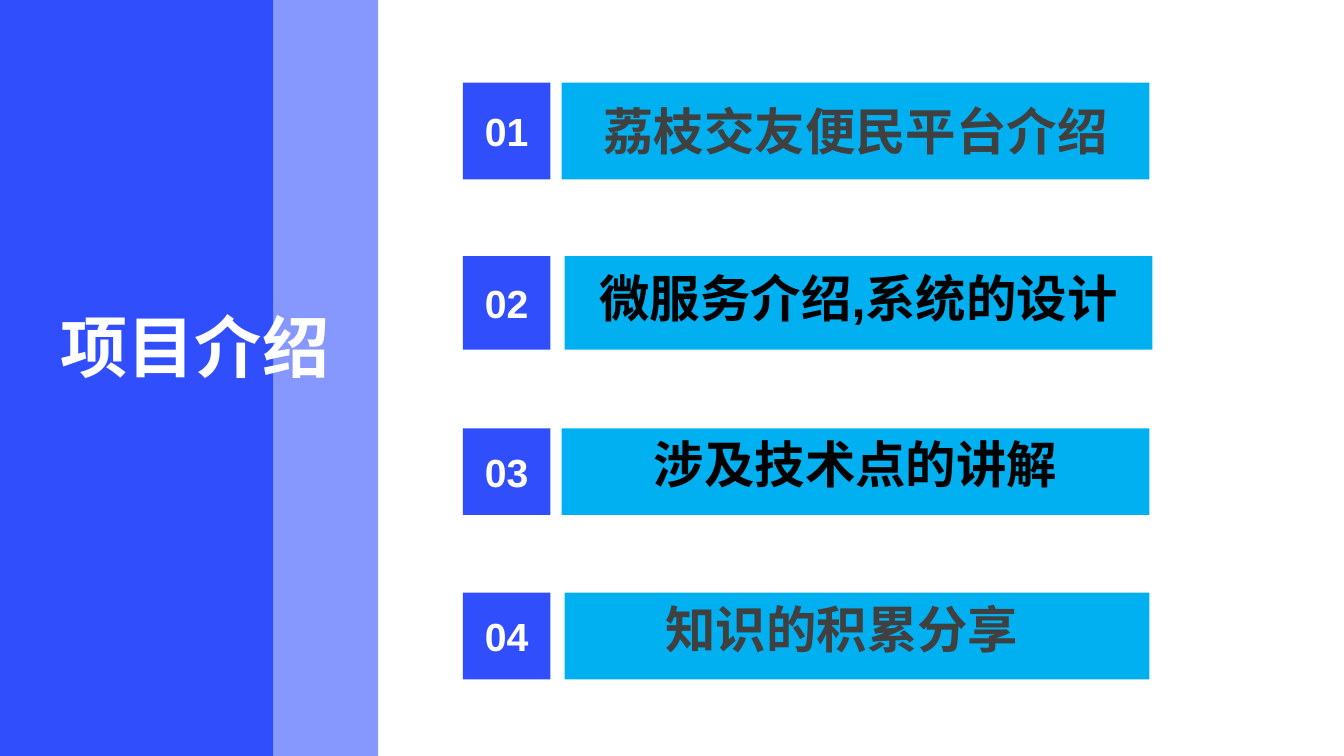
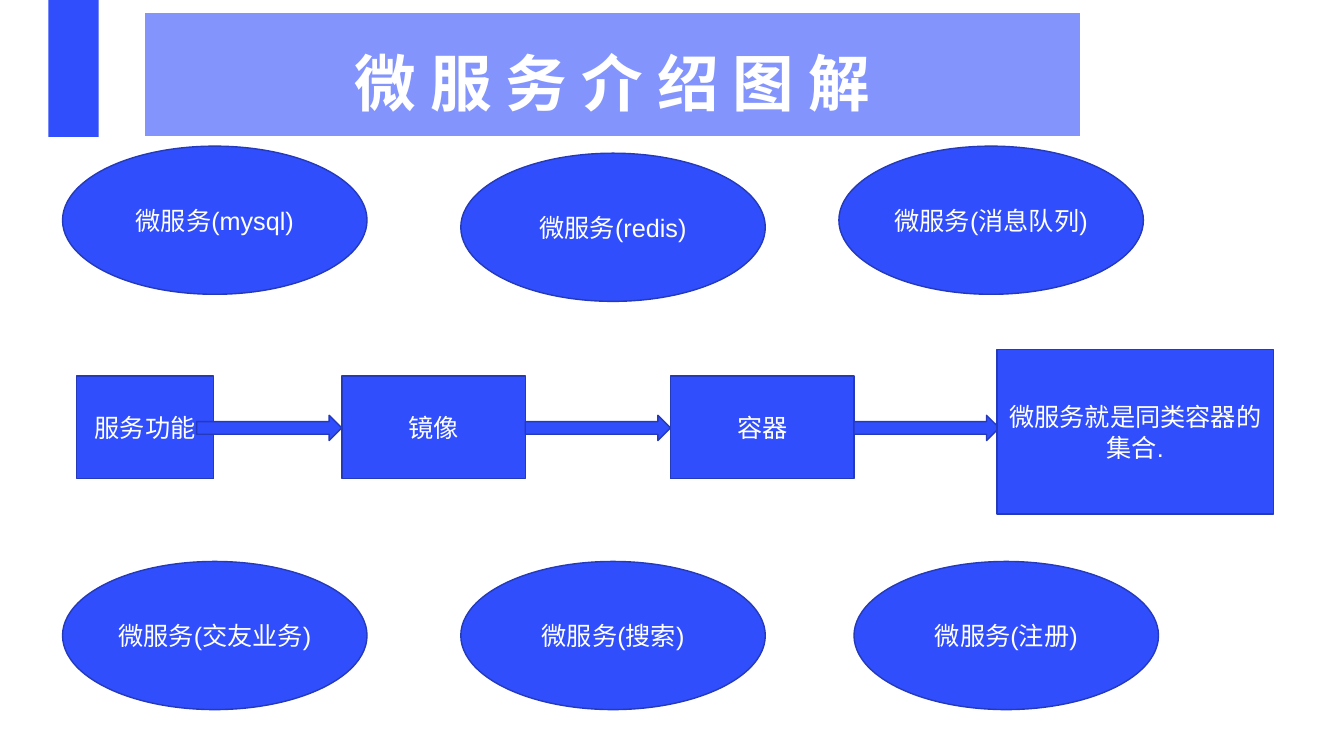
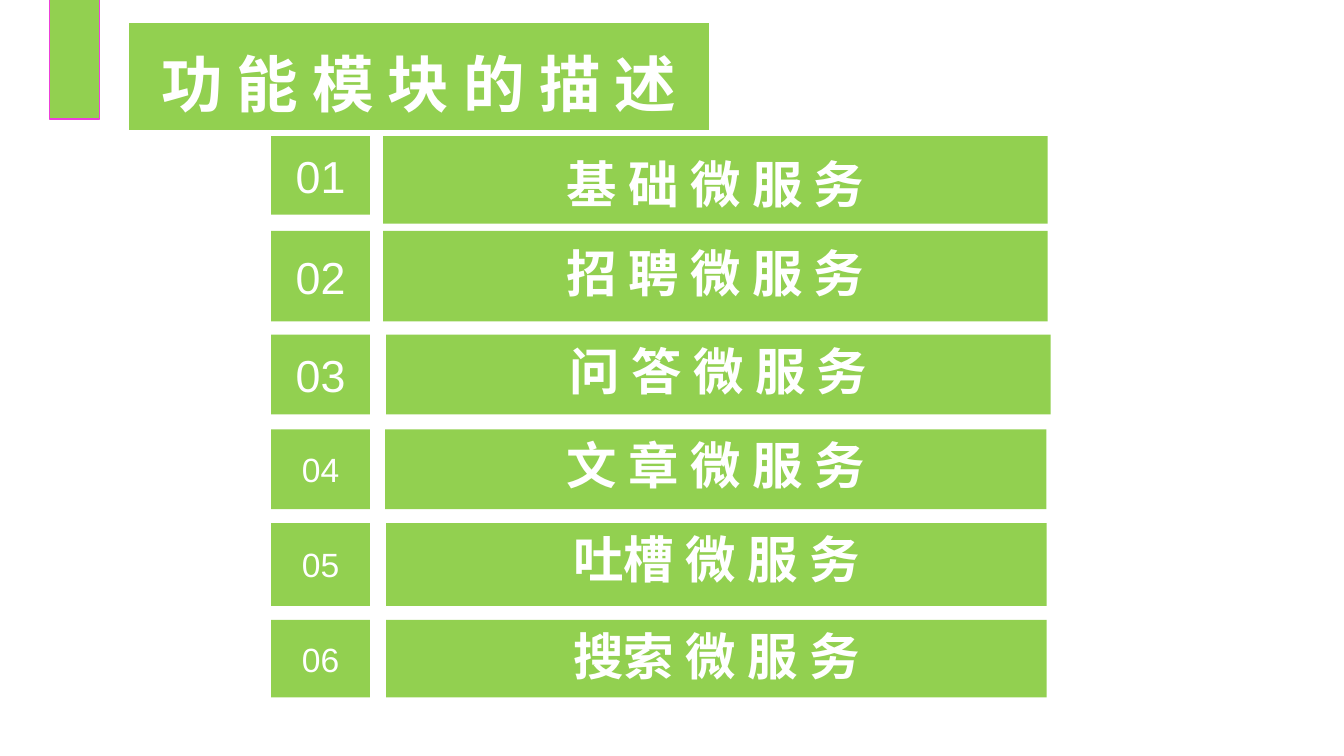
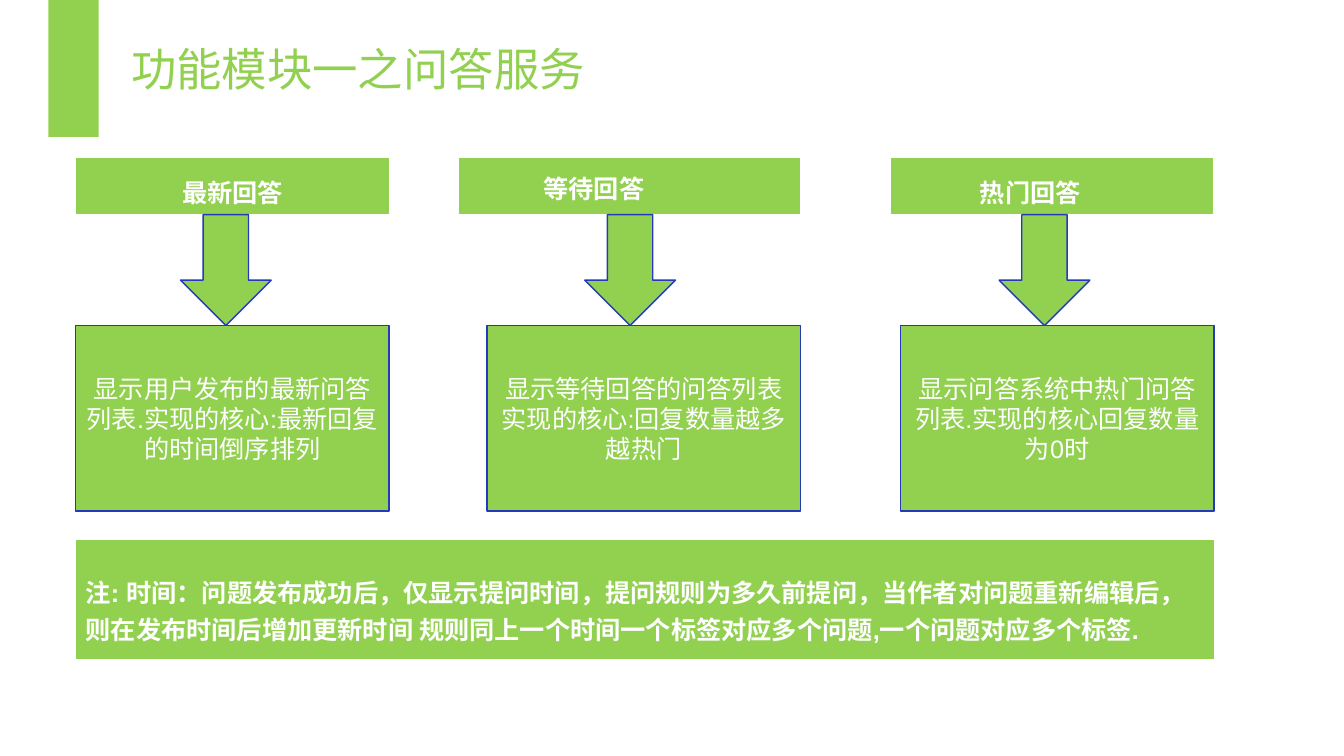
from lxml import etree
from pptx import Presentation
from pptx.dml.color import RGBColor
from pptx.enum.shapes import MSO_SHAPE as Shape
from pptx.enum.text import MSO_ANCHOR as Anchor, MSO_AUTO_SIZE as AutoSize, PP_ALIGN as Align
from pptx.oxml.ns import qn
from pptx.util import Inches, Pt

BLUE, BLUE_LINE, PALE_BLUE, BAND_BLUE = "304EFC", "243ABA", "8395FD", "536DFE"
GREEN, CYAN, PINK = "92D050", "00B0F0", "EC40DA"
WHITE, BLACK, GREY = "FFFFFF", "000000", "404040"
LATIN_FONT, CJK_FONT = "Arial", "Noto Sans CJK SC"
TITLE_ONLY, BLANK = 5, 6


def rgb(code):
    return RGBColor.from_string(code)


def inches(box):
    return [Inches(length) for length in box]


def write(frame, text, size, color=WHITE, bold=False, align=Align.CENTER,
          spacing=1.0, font=LATIN_FONT):
    """Fill a text frame with one formatted paragraph."""
    frame.word_wrap = True
    para = frame.paragraphs[0]
    para.text = text
    para.alignment = align
    para.line_spacing = spacing
    para.space_before = Pt(0)
    para.font.size, para.font.bold, para.font.name = Pt(size), bold, font
    para.font.color.rgb = rgb(color)
    defaults = para._p.pPr.find(qn("a:defRPr"))
    etree.SubElement(defaults, qn("a:ea")).set("typeface", CJK_FONT)


def add_block(slide, box, fill, line=None, kind=Shape.RECTANGLE):
    block = slide.shapes.add_shape(kind, *inches(box))
    block.shadow.inherit = False
    block.fill.solid()
    block.fill.fore_color.rgb = rgb(fill)
    if line:
        block.line.color.rgb = rgb(line)
        block.line.width = Pt(1)
    else:
        block.line.fill.background()
    return block


def add_label(slide, box, fill, text, size=18, line=None, kind=Shape.RECTANGLE,
              anchor=Anchor.MIDDLE, **style):
    label = add_block(slide, box, fill, line, kind)
    label.text_frame.vertical_anchor = anchor
    write(label.text_frame, text, size, **style)
    return label


def add_banner(slide, box, fill, text, size=18, inset=0.1, top=0.05, **style):
    """One-cell table; the table style supplies its white borders."""
    table = slide.shapes.add_table(1, 1, *inches(box)).table
    cell = table.cell(0, 0)
    cell.fill.solid()
    cell.fill.fore_color.rgb = rgb(fill)
    cell.margin_left, cell.margin_top = Inches(inset), Inches(top)
    write(cell.text_frame, text, size, bold=True, **style)


def set_title(slide, box, text, size, anchor, **style):
    title = slide.shapes.title
    title.left, title.top, title.width, title.height = inches(box)
    frame = title.text_frame
    frame.auto_size = AutoSize.NONE
    frame.vertical_anchor = anchor
    write(frame, text, size, align=Align.LEFT, **style)
    return title


def add_corner_tab(slide, fill, box=(0.48, 0, 0.5, 1.36), line=None):
    add_block(slide, box, fill, line)


# Slide 1: agenda
def side_panel(slide, width, height, dark_width):
    pale = add_block(slide, (0, 0, width, height), BAND_BLUE)
    color = pale.fill._xPr.find(qn("a:solidFill"))[0]
    etree.SubElement(color, qn("a:alpha")).set("val", "70000")
    add_block(slide, (0, 0, dark_width, height), BLUE)
    title = set_title(slide, (0.5, 2.98, 3.15, 0.77), "项目介绍", 48, Anchor.TOP, bold=True)
    title._element.getparent().append(title._element)  # bring above the panel


def agenda_slide(prs):
    slide = prs.slides.add_slide(prs.slide_layouts[TITLE_ONLY])
    side_panel(slide, 3.75, 7.5, 2.71)
    topics = [  # top, height, bar left, bar width, text, colour, line spacing
        (0.82, 0.96, 5.57, 5.83, "荔枝交友便民平台介绍", GREY, 1.2),
        (2.54, 0.93, 5.6, 5.83, "微服务介绍,系统的设计", BLACK, 1.1),
        (4.25, 0.86, 5.57, 5.83, "涉及技术点的讲解", BLACK, 1.0),
        (5.88, 0.86, 5.6, 5.8, "知识的积累分享", GREY, 1.0),
    ]
    for number, (top, height, left, width, text, color, spacing) in enumerate(topics, 1):
        add_label(slide, (4.59, top, 0.87, height), BLUE, f"{number:02}", 28, bold=True)
        topic = add_label(slide, (left, top, width, height), CYAN, text, 36,
                          anchor=Anchor.TOP, color=color, bold=True, spacing=spacing)
    # The last topic is indented rather than centred
    topic.text_frame.margin_left = Inches(1)
    topic.text_frame.paragraphs[0].alignment = Align.LEFT


# Slide 2: microservice diagram
def service_ovals(slide):
    ovals = [
        (0.62, 1.45, "微服务(mysql)"), (4.57, 1.52, "微服务(redis)"),
        (8.32, 1.45, "微服务(消息队列)"), (0.62, 5.57, "微服务(交友业务)"),
        (4.57, 5.57, "微服务(搜索)"), (8.47, 5.57, "微服务(注册)"),
    ]
    for left, top, text in ovals:
        add_label(slide, (left, top, 3.02, 1.47), BLUE, text, line=BLUE_LINE, kind=Shape.OVAL)


def container_flow(slide, middle):
    steps = [(0.76, 1.36, "服务功能"), (3.39, 1.82, "镜像"), (6.65, 1.82, "容器")]
    for left, width, text in steps:
        add_label(slide, (left, middle - 0.51, width, 1.02), BLUE, text,
                  line=BLUE_LINE, kind=Shape.FLOWCHART_PROCESS)
    for left in (1.95, 5.21, 8.47):
        add_block(slide, (left, middle - 0.12, 1.44, 0.25), BLUE, BLUE_LINE, Shape.RIGHT_ARROW)
    add_label(slide, (9.89, middle - 0.77, 2.74, 1.63), BLUE,
              "微服务就是同类容器的集合.", line=BLUE_LINE)


def microservice_slide(prs):
    slide = prs.slides.add_slide(prs.slide_layouts[BLANK])
    add_corner_tab(slide, BLUE)
    add_banner(slide, (1.43, 0.12, 9.29, 1.24), PALE_BLUE, "微 服 务 介 绍 图 解", 44, spacing=1.2)
    service_ovals(slide)
    container_flow(slide, 4.24)


# Slide 3: list of modules
def modules_slide(prs):
    slide = prs.slides.add_slide(prs.slide_layouts[BLANK])
    add_corner_tab(slide, GREEN, (0.49, -0.01, 0.5, 1.19), PINK)
    add_banner(slide, (1.27, 0.22, 5.77, 0.99), GREEN, "功 能 模 块 的 描 述", 44, spacing=1.1)
    modules = [  # top, number height, bar left, width, height, text, spacing, number size
        (1.35, 0.78, 3.8, 6.59, 0.87, "基 础 微 服 务", 1.2, 32),
        (2.29, 0.9, 3.8, 6.59, 0.9, "招 聘 微 服 务", 1.1, 32),
        (3.32, 0.79, 3.83, 6.59, 0.79, "问 答 微 服 务", 1.0, 32),
        (4.26, 0.79, 3.82, 6.56, 0.79, "文 章 微 服 务", 1.0, 24),
        (5.19, 0.82, 3.83, 6.55, 0.82, "吐槽 微 服 务", 1.0, 24),
        (6.15, 0.77, 3.83, 6.55, 0.77, "搜索 微 服 务", 1.0, 24),
    ]
    for number, (top, number_height, left, width, height, text, spacing, size) in enumerate(modules, 1):
        add_label(slide, (2.69, top, 0.98, number_height), GREEN, f"{number:02}", size)
        add_label(slide, (left, top, width, height), GREEN, text, 36,
                  anchor=Anchor.TOP, bold=True, spacing=spacing)


# Slide 4: question and answer service
def answer_column(slide, heading_box, heading, arrow_left, detail_left, detail, **style):
    add_banner(slide, heading_box, GREEN, heading, **style)
    add_block(slide, (arrow_left, 2.13, 0.9, 1.1), GREEN, BLUE_LINE, Shape.DOWN_ARROW)
    add_label(slide, (detail_left, 3.23, 3.11, 1.84), GREEN, detail, line=BLUE_LINE)


def answers_slide(prs):
    slide = prs.slides.add_slide(prs.slide_layouts[TITLE_ONLY])
    add_corner_tab(slide, GREEN)
    set_title(slide, (1.2, 0.36, 7.08, 0.65), "功能模块一之问答服务", 32.4, Anchor.BOTTOM,
              color=GREEN, spacing=0.9, font=CJK_FONT)
    answer_column(slide, (0.75, 1.56, 3.11, 0.57), "最新回答", 1.79, 0.75,
                  "显示用户发布的最新问答列表.实现的核心:最新回复的时间倒序排列", spacing=1.3)
    answer_column(slide, (4.55, 1.56, 3.39, 0.57), "等待回答", 5.8, 4.83,
                  "显示等待回答的问答列表实现的核心:回复数量越多越热门",
                  spacing=1.2, inset=0.84, align=Align.LEFT)
    answer_column(slide, (8.83, 1.56, 3.21, 0.55), "热门回答", 9.91, 8.93,
                  "显示问答系统中热门问答列表.实现的核心回复数量为0时",
                  spacing=1.3, inset=0.89, align=Align.LEFT)
    add_banner(slide, (0.75, 5.35, 11.3, 1.19), GREEN,
               "注: 时间：问题发布成功后，仅显示提问时间，提问规则为多久前提问，"
               "当作者对问题重新编辑后，则在发布时间后增加更新时间 "
               "规则同上一个时间一个标签对应多个问题,一个问题对应多个标签.",
               top=0.34, align=Align.LEFT)


def main():
    prs = Presentation()
    prs.slide_width, prs.slide_height = Inches(13.33), Inches(7.5)
    for build in (agenda_slide, microservice_slide, modules_slide, answers_slide):
        build(prs)
    prs.save("out.pptx")


if __name__ == "__main__":
    main()
